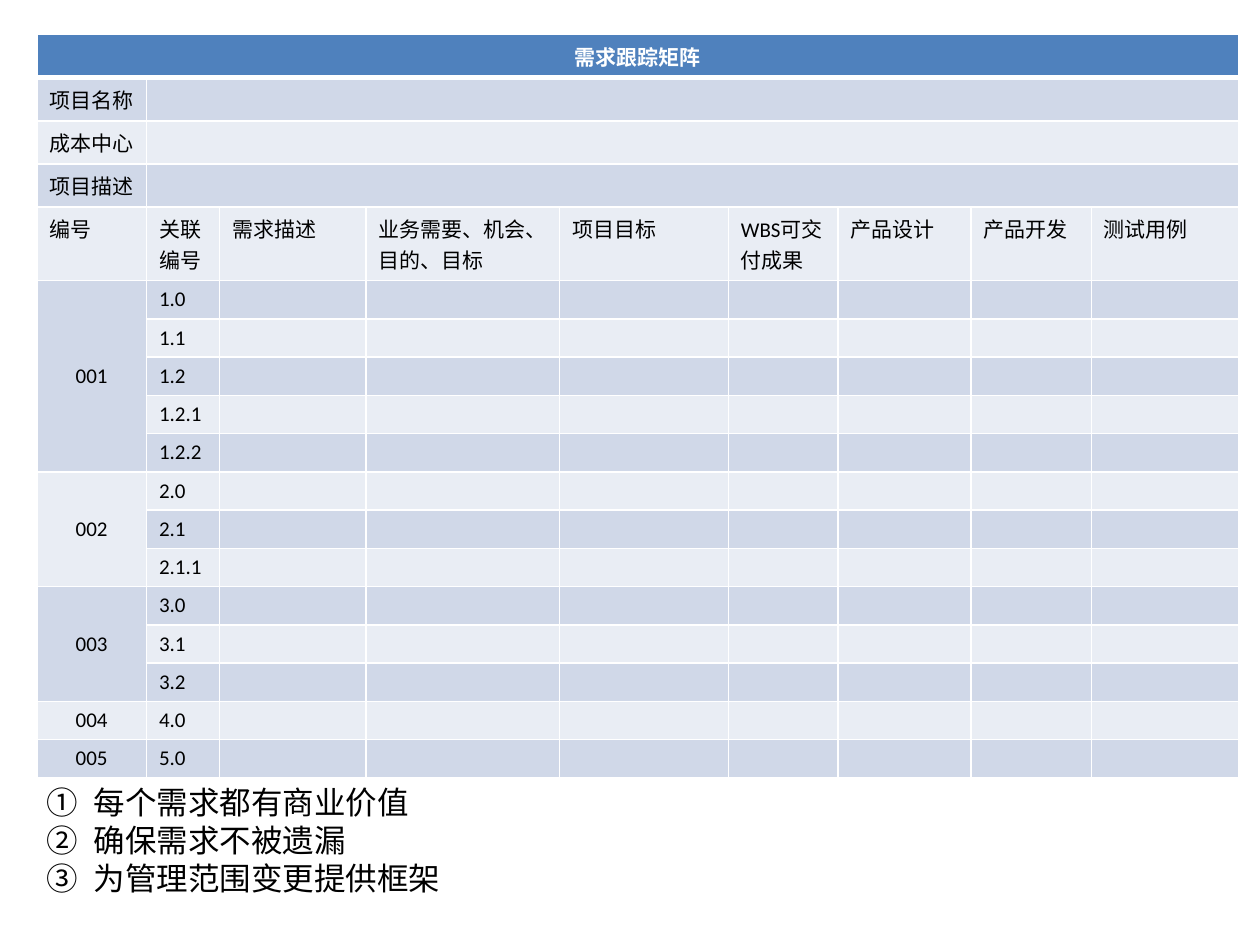
import pptx
import pptx.dml.color
import pptx.enum.text
import pptx.oxml
import pptx.oxml.ns
import pptx.util
from dataclasses import dataclass

Pt = pptx.util.Pt
qn = pptx.oxml.ns.qn
CENTER = pptx.enum.text.PP_ALIGN.CENTER
MIDDLE = pptx.enum.text.MSO_ANCHOR.MIDDLE


@dataclass(frozen=True)
class Theme:
    font: str = "Calibri"
    table_size: int = 12
    note_size: int = 18
    text: str = "000000"
    white: str = "FFFFFF"
    title_fill: str = "4F81BD"
    bands: tuple = ("E9EDF4", "D0D8E8")


THEME = Theme()

TITLE = "需求跟踪矩阵"
PROJECT_FIELDS = ["项目名称", "成本中心", "项目描述"]
HEADINGS = ["编号", "关联编号", "需求描述", "业务需要、机会、目的、目标", "项目目标",
            "WBS可交付成果", "产品设计", "产品开发", "测试用例"]
REQUIREMENTS = {
    "001": ["1.0", "1.1", "1.2", "1.2.1", "1.2.2"],
    "002": ["2.0", "2.1", "2.1.1"],
    "003": ["3.0", "3.1", "3.2"],
    "004": ["4.0"],
    "005": ["5.0"],
}
NOTES = ["每个需求都有商业价值", "确保需求不被遗漏", "为管理范围变更提供框架"]
COLUMN_WIDTHS = [62.7, 41.8, 83.7, 110.6, 96.5, 62.7, 76.1, 68.7, 84]
ROW_HEIGHT = 21.84


def write_text(paragraph, text, size=THEME.table_size, color=THEME.text,
               bold=False, align=None):
    run = paragraph.add_run()
    run.text = text
    run.font.name = THEME.font
    run.font.size = Pt(size)
    run.font.bold = bold
    run.font.color.rgb = pptx.dml.color.RGBColor.from_string(color)
    if align is not None:
        paragraph.alignment = align


def add_border(cell, side, width):
    properties = cell._tc.get_or_add_tcPr()
    properties.append(pptx.oxml.parse_xml(
        f'<a:ln{side} xmlns:a="http://schemas.openxmlformats.org/drawingml/2006/main" '
        f'w="{Pt(width)}"><a:solidFill><a:srgbClr val="{THEME.white}"/></a:solidFill>'
        f'</a:ln{side}>'))


def style_cell(cell, row):
    # Borders come before the fill in the cell properties
    for side in "LRTB":
        under_title = (row, side) in ((0, "B"), (1, "T"))
        add_border(cell, side, 3 if under_title else 1)
    cell.fill.solid()
    fill = THEME.bands[row % 2] if row else THEME.title_fill
    cell.fill.fore_color.rgb = pptx.dml.color.RGBColor.from_string(fill)
    # Empty cells keep the table's type size, so rows stay low
    paragraph = cell.text_frame.paragraphs[0]._p
    paragraph.append(paragraph.makeelement(
        qn("a:endParaRPr"), {"sz": str(THEME.table_size * 100)}))


def write_cell(cell, text, **text_format):
    write_text(cell.text_frame.paragraphs[0], text, **text_format)


def add_matrix(slide, left, top):
    first_item_row = len(PROJECT_FIELDS) + 2
    row_count = first_item_row + sum(map(len, REQUIREMENTS.values()))
    column_count = len(HEADINGS)
    table = slide.shapes.add_table(
        row_count, column_count, Pt(left), Pt(top),
        Pt(sum(COLUMN_WIDTHS)), Pt(ROW_HEIGHT * row_count)).table
    for column, width in zip(table.columns, COLUMN_WIDTHS):
        column.width = Pt(width)
    for index, row in enumerate(table.rows):
        row.height = Pt(ROW_HEIGHT)
        for cell in row.cells:
            style_cell(cell, index)

    # Title and project fields
    last = column_count - 1
    table.cell(0, 0).merge(table.cell(0, last))
    write_cell(table.cell(0, 0), TITLE, color=THEME.white, bold=True, align=CENTER)
    for row, field in enumerate(PROJECT_FIELDS, start=1):
        write_cell(table.cell(row, 0), field)
        table.cell(row, 1).merge(table.cell(row, last))

    # Column headings
    for column, heading in enumerate(HEADINGS):
        write_cell(table.cell(first_item_row - 1, column), heading)

    # Requirements, grouped by number
    row = first_item_row
    for number, related in REQUIREMENTS.items():
        group = table.cell(row, 0)
        if len(related) > 1:
            group.merge(table.cell(row + len(related) - 1, 0))
            group.vertical_anchor = MIDDLE
        write_cell(group, number, align=CENTER)
        for item in related:
            write_cell(table.cell(row, 1), item)
            row += 1


def add_numbered_notes(slide, left, top, width, height):
    frame = slide.shapes.add_textbox(Pt(left), Pt(top), Pt(width), Pt(height)).text_frame
    frame.word_wrap = True
    frame.auto_size = pptx.enum.text.MSO_AUTO_SIZE.SHAPE_TO_FIT_TEXT
    for index, note in enumerate(NOTES):
        paragraph = frame.add_paragraph() if index else frame.paragraphs[0]
        properties = paragraph._p.get_or_add_pPr()
        properties.set("marL", str(Pt(27)))
        properties.set("indent", str(Pt(-27)))
        properties.append(properties.makeelement(
            qn("a:buAutoNum"), {"type": "circleNumDbPlain"}))
        write_text(paragraph, note, size=THEME.note_size)


def main():
    presentation = pptx.Presentation()
    presentation.slide_width = Pt(720)
    presentation.slide_height = Pt(540)
    slide = presentation.slides.add_slide(presentation.slide_layouts[6])
    add_matrix(slide, left=21, top=19.8)
    add_numbered_notes(slide, left=19.5, top=444.2, width=688, height=72)
    presentation.save("out.pptx")


if __name__ == "__main__":
    main()
